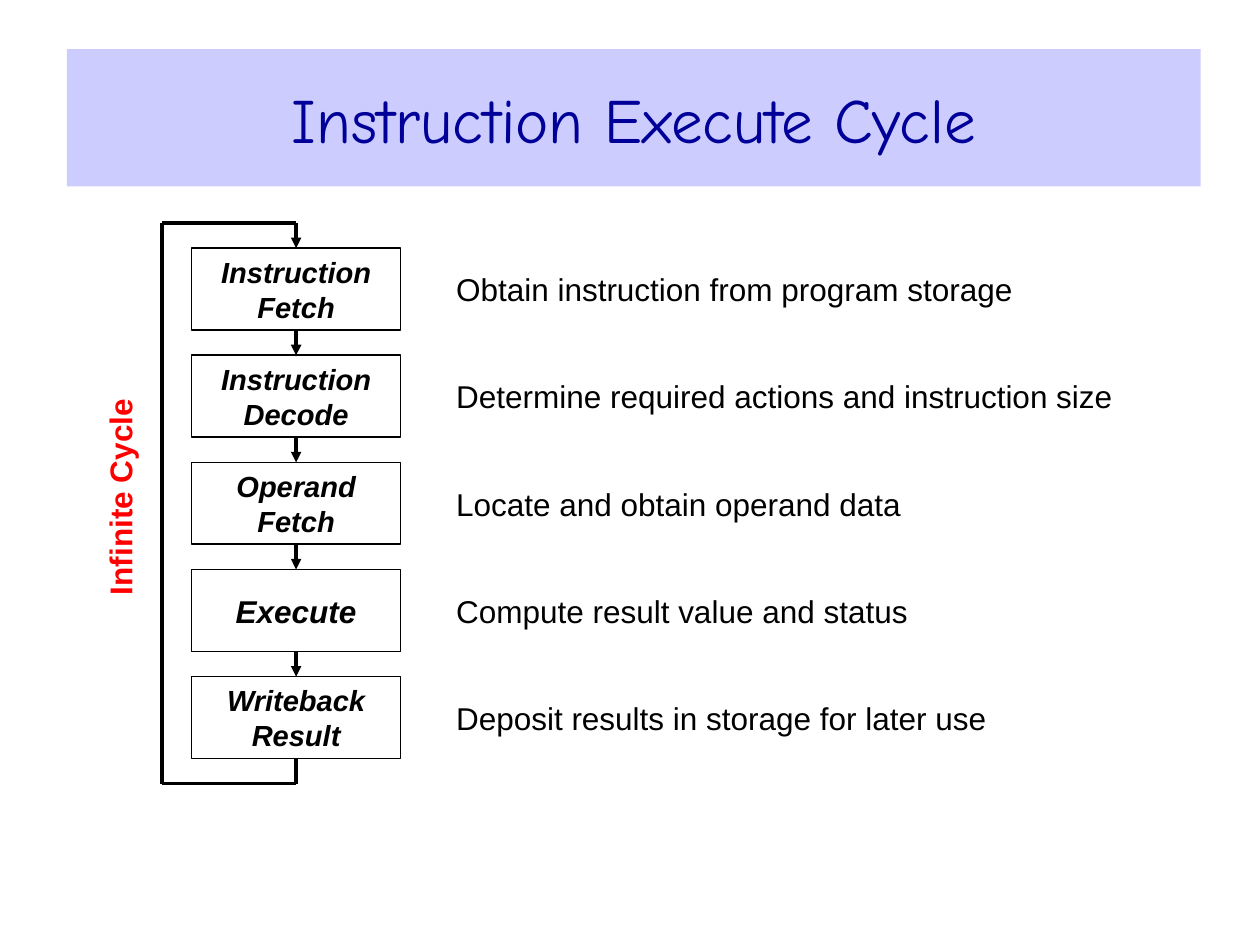
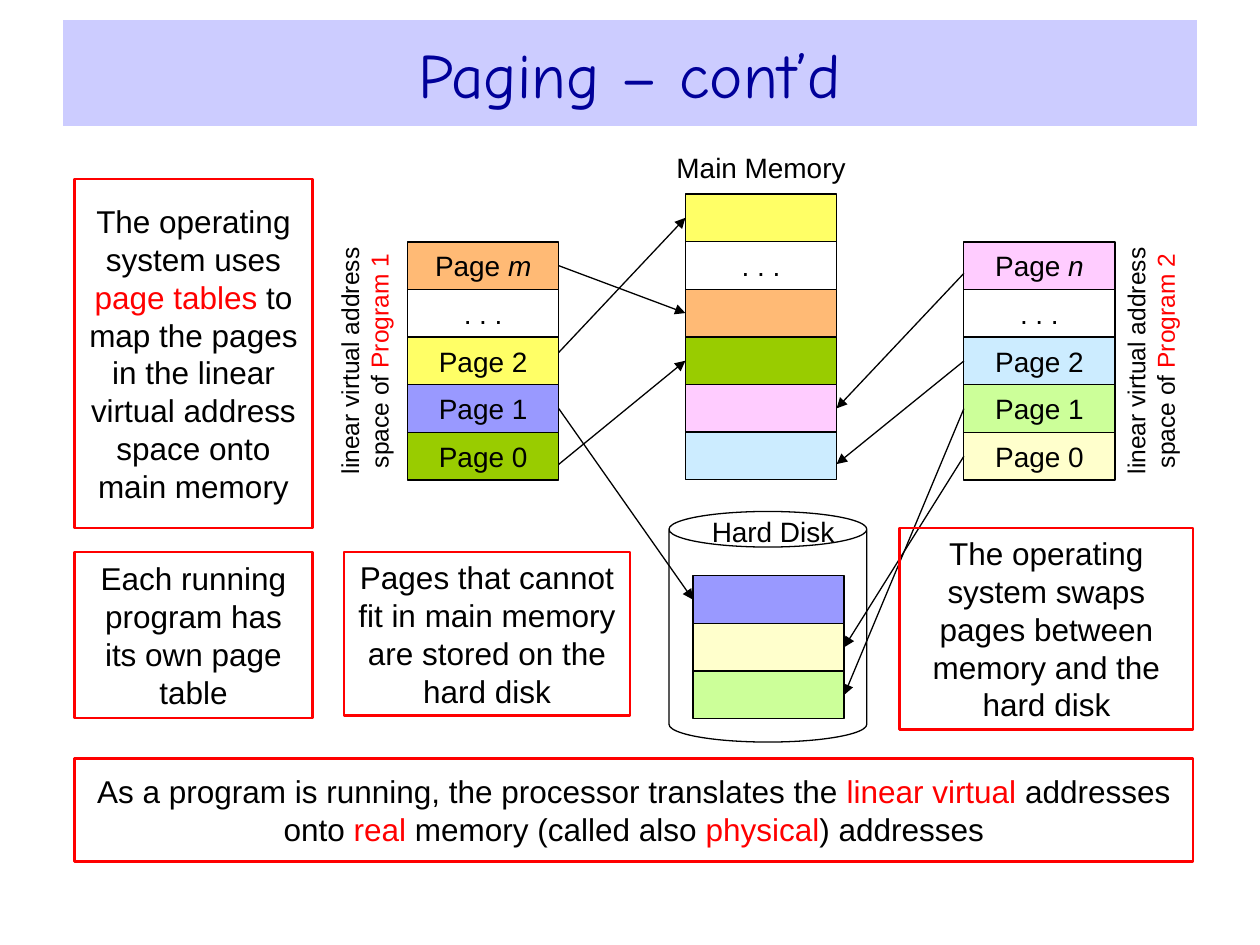
from dataclasses import dataclass, replace
from itertools import pairwise
from typing import Optional

from lxml.etree import SubElement
from pptx import Presentation
from pptx.dml.color import RGBColor
from pptx.enum.shapes import MSO_CONNECTOR, MSO_SHAPE
from pptx.enum.text import MSO_ANCHOR, PP_ALIGN
from pptx.oxml.ns import qn
from pptx.util import Inches, Pt

COLUMNS, ROWS = 100, 75
SLIDE_WIDTH, SLIDE_HEIGHT = Inches(10), Inches(7.5)
TITLE_ONLY_LAYOUT = 5


@dataclass(frozen=True)
class Theme:
    ink: str = "000000"
    accent: str = "FF0000"
    title_ink: str = "000099"
    title_band: str = "CCCCFF"
    orange: str = "FFBA75"
    yellow: str = "FFFF66"
    violet: str = "9999FF"
    green: str = "99CC00"
    pink: str = "FFCCFF"
    sky: str = "CCECFF"
    lime: str = "CCFF99"
    cream: str = "FFFFCC"
    title_font: str = "Comic Neue"
    body_font: str = "Arial"
    title_size: float = 36
    body_size: float = 18
    stage_size: float = 16.6
    page_size: float = 16
    side_size: float = 14
    thin_line: float = 0.75
    stage_line: float = 1
    note_line: float = 1.5
    flow_line: float = 2


THEME = Theme()


@dataclass(frozen=True)
class Box:
    column: float
    row: float
    width: float
    height: float

    @property
    def right(self) -> float:
        return self.column + self.width

    @property
    def center(self) -> float:
        return self.column + self.width / 2

    @property
    def bottom(self) -> float:
        return self.row + self.height


@dataclass(frozen=True)
class TextStyle:
    size: float = THEME.body_size
    font: str = THEME.body_font
    color: str = THEME.ink
    emphasis_color: str = THEME.accent
    emphasis_italic: bool = False
    bold: bool = False
    italic: bool = False
    align: PP_ALIGN = PP_ALIGN.CENTER
    side_inset: float = 0.1
    end_inset: float = 0.05


@dataclass(frozen=True)
class Stage:
    label: str
    description: str
    size: float = THEME.stage_size


@dataclass(frozen=True)
class Page:
    label: str = ""
    color: Optional[str] = None


@dataclass(frozen=True)
class Stack:
    column: float
    row: float
    pages: tuple[Page, ...]
    width: float = 12
    pitch: float = 3.78

    def left_at(self, position: float) -> tuple[float, float]:
        return self.column, self.row + position * self.pitch

    def right_at(self, position: float) -> tuple[float, float]:
        return self.column + self.width, self.row + position * self.pitch


@dataclass(frozen=True)
class Note:
    box: Box
    text: str
    side_inset: float = 0.1


TITLE_STYLE = TextStyle(THEME.title_size, THEME.title_font, THEME.title_ink)
DESCRIPTION_STYLE = TextStyle(align=PP_ALIGN.LEFT, side_inset=0.07, end_inset=0.03)
STAGE_STYLE = TextStyle(bold=True, italic=True, side_inset=0.07, end_inset=0.03)
CYCLE_STYLE = TextStyle(color=THEME.accent, bold=True, side_inset=0.07, end_inset=0.03)
PAGE_STYLE = TextStyle(THEME.page_size, emphasis_color=THEME.ink, emphasis_italic=True)
CAPTION_STYLE = TextStyle(THEME.page_size, end_inset=0)
SIDE_STYLE = TextStyle(THEME.side_size, side_inset=0.08)

STAGES = (
    Stage("Instruction\nFetch", "Obtain instruction from program storage"),
    Stage("Instruction\nDecode", "Determine required actions and instruction size"),
    Stage("Operand\nFetch", "Locate and obtain operand data"),
    Stage("Execute", "Compute result value and status", THEME.body_size),
    Stage("Writeback\nResult", "Deposit results in storage for later use"),
)
STAGE_PITCH, STAGE_GAP = 8.5, 2
FIRST_STAGE = Box(15.2, 19.7, 16.6, STAGE_PITCH - STAGE_GAP)
LOOP_COLUMN = 12.85

PROGRAM_1 = Stack(32.35, 19.2, (
    Page("Page |m", THEME.orange), Page(". . ."), Page("Page 2", THEME.yellow),
    Page("Page 1", THEME.violet), Page("Page 0", THEME.green),
))
PROGRAM_2 = Stack(76.5, 19.2, (
    Page("Page |n", THEME.pink), Page(". . ."), Page("Page 2", THEME.sky),
    Page("Page 1", THEME.lime), Page("Page 0", THEME.cream),
))
MEMORY = Stack(54.4, 15.4, (
    Page(color=THEME.yellow), Page(". . ."), Page(color=THEME.orange),
    Page(color=THEME.green), Page(color=THEME.pink), Page(color=THEME.sky),
))
DISK = Stack(55, 45.7, (
    Page(color=THEME.violet), Page(color=THEME.cream), Page(color=THEME.lime),
))
PROGRAM_1_LINKS = (
    (0.5, MEMORY, 2.5), (2.32, MEMORY, 0.5), (4.67, MEMORY, 3.5), (3.5, DISK, 0.5),
)
PROGRAM_2_LINKS = (
    (0.66, MEMORY, 4.5), (2.5, MEMORY, 5.67), (4.5, DISK, 1.5), (3.5, DISK, 2.5),
)
NOTES = (
    Note(Box(5.9, 14.2, 18.9, 27.7),
         "The operating system uses |page tables| to map the pages in the linear "
         "virtual address space onto main memory"),
    Note(Box(5.9, 43.8, 18.9, 13.2), "Each running program has its own page table"),
    Note(Box(27.3, 43.8, 22.7, 13),
         "Pages that cannot fit in main memory are stored on the hard disk"),
    Note(Box(71.4, 41.9, 23.3, 16),
         "The operating system swaps pages between memory and the hard disk", 0.04),
    Note(Box(5.9, 60.2, 88.8, 8.2),
         "As a program is running, the processor translates the |linear virtual| "
         "addresses onto |real| memory (called also |physical|) addresses"),
)


def across(columns: float) -> int:
    return round(SLIDE_WIDTH * columns / COLUMNS)


def down(rows: float) -> int:
    return round(SLIDE_HEIGHT * rows / ROWS)


def frame_of(box: Box) -> tuple[int, int, int, int]:
    return across(box.column), down(box.row), across(box.width), down(box.height)


def write_text(shape, text: str, style: TextStyle) -> None:
    text_frame = shape.text_frame
    text_frame.word_wrap = True
    text_frame.vertical_anchor = MSO_ANCHOR.MIDDLE
    text_frame.margin_left = text_frame.margin_right = Inches(style.side_inset)
    text_frame.margin_top = text_frame.margin_bottom = Inches(style.end_inset)
    text_frame.text = text
    for paragraph in text_frame.paragraphs:
        parts = paragraph.text.split("|")
        paragraph.text = parts[0]
        for part in parts[1:]:
            paragraph.add_run().text = part
        paragraph.alignment = style.align
        for index, run in enumerate(paragraph.runs):
            emphasised = index % 2 == 1
            color = style.emphasis_color if emphasised else style.color
            run.font.name = style.font
            run.font.size = Pt(style.size)
            run.font.bold = style.bold
            run.font.italic = style.italic or (emphasised and style.emphasis_italic)
            run.font.color.rgb = RGBColor.from_string(color)


def add_titled_slide(presentation, title: str, band: Box):
    slide = presentation.slides.add_slide(presentation.slide_layouts[TITLE_ONLY_LAYOUT])
    shape = slide.shapes.title
    shape.left, shape.top, shape.width, shape.height = frame_of(band)
    shape.fill.solid()
    shape.fill.fore_color.rgb = RGBColor.from_string(THEME.title_band)
    write_text(shape, title, TITLE_STYLE)
    return slide


def add_outlined(slide, box: Box, line_width: float, line_color: str = THEME.ink,
                 fill: Optional[str] = None, kind: MSO_SHAPE = MSO_SHAPE.RECTANGLE):
    shape = slide.shapes.add_shape(kind, *frame_of(box))
    shape.shadow.inherit = False
    shape.line.color.rgb = RGBColor.from_string(line_color)
    shape.line.width = Pt(line_width)
    if fill:
        shape.fill.solid()
        shape.fill.fore_color.rgb = RGBColor.from_string(fill)
    else:
        shape.fill.background()
    return shape


def add_label(slide, box: Box, text: str, style: TextStyle, rotation: float = 0) -> None:
    label = slide.shapes.add_textbox(*frame_of(box))
    label.rotation = rotation
    write_text(label, text, style)


def add_line(slide, start: tuple[float, float], end: tuple[float, float],
             width: float, arrow: bool = True) -> None:
    connector = slide.shapes.add_connector(
        MSO_CONNECTOR.STRAIGHT, across(start[0]), down(start[1]), across(end[0]), down(end[1])
    )
    connector.line.color.rgb = RGBColor.from_string(THEME.ink)
    connector.line.width = Pt(width)
    properties = connector.element.spPr
    if arrow:
        SubElement(properties.find(qn("a:ln")), qn("a:tailEnd"), type="triangle")
    SubElement(properties, qn("a:effectLst"))


def add_stack(slide, stack: Stack) -> None:
    for index, page in enumerate(stack.pages):
        column, row = stack.left_at(index)
        cell = add_outlined(slide, Box(column, row, stack.width, stack.pitch),
                            THEME.thin_line, fill=page.color)
        if page.label:
            write_text(cell, page.label, PAGE_STYLE)


def build_execute_cycle(presentation) -> None:
    slide = add_titled_slide(presentation, "Instruction Execute Cycle", Box(5.3, 3.9, 90, 10.9))
    center = FIRST_STAGE.center
    for index, stage in enumerate(STAGES):
        box = replace(FIRST_STAGE, row=FIRST_STAGE.row + index * STAGE_PITCH)
        shape = add_outlined(slide, box, THEME.stage_line)
        write_text(shape, stage.label, replace(STAGE_STYLE, size=stage.size))
        add_label(slide, Box(35.5, box.row + 1.5, 54, 3.5), stage.description, DESCRIPTION_STYLE)
        add_line(slide, (center, box.row - STAGE_GAP), (center, box.row), THEME.flow_line)
    loop_top, loop_bottom = FIRST_STAGE.row - STAGE_GAP, box.bottom + STAGE_GAP
    corners = ((center, box.bottom), (center, loop_bottom), (LOOP_COLUMN, loop_bottom),
               (LOOP_COLUMN, loop_top), (center, loop_top))
    for start, end in pairwise(corners):
        add_line(slide, start, end, THEME.flow_line, arrow=False)
    add_label(slide, Box(-15.1, 37.7, 49.2, 3.5), "Infinite Cycle", CYCLE_STYLE, 270)


def build_paging(presentation) -> None:
    slide = add_titled_slide(presentation, "Paging – cont’d", Box(5, 1.6, 90, 8.4))
    add_outlined(slide, Box(53.1, 40.6, 15.7, 18.3), THEME.thin_line,
                 kind=MSO_SHAPE.CAN).adjustments[0] = 0.18
    for stack in (PROGRAM_1, PROGRAM_2, MEMORY, DISK):
        add_stack(slide, stack)
    add_label(slide, Box(50, 11.7, 20.8, 3.1), "Main Memory", CAPTION_STYLE)
    add_label(slide, Box(54.4, 40.6, 13.9, 3.1), "Hard Disk", CAPTION_STYLE)
    for number, column in ((1, 18.2), (2, 80.6)):
        add_label(slide, Box(column, 25.8, 21.4, 5.7),
                  f"linear virtual address space of |Program {number}", SIDE_STYLE, 270)
    for position, target, target_position in PROGRAM_1_LINKS:
        add_line(slide, PROGRAM_1.right_at(position), target.left_at(target_position),
                 THEME.thin_line)
    for position, target, target_position in PROGRAM_2_LINKS:
        add_line(slide, PROGRAM_2.left_at(position), target.right_at(target_position),
                 THEME.thin_line)
    for note in NOTES:
        shape = add_outlined(slide, note.box, THEME.note_line, THEME.accent)
        write_text(shape, note.text, TextStyle(side_inset=note.side_inset))


def main() -> None:
    presentation = Presentation()
    presentation.slide_width, presentation.slide_height = SLIDE_WIDTH, SLIDE_HEIGHT
    build_execute_cycle(presentation)
    build_paging(presentation)
    presentation.save("out.pptx")


if __name__ == "__main__":
    main()
